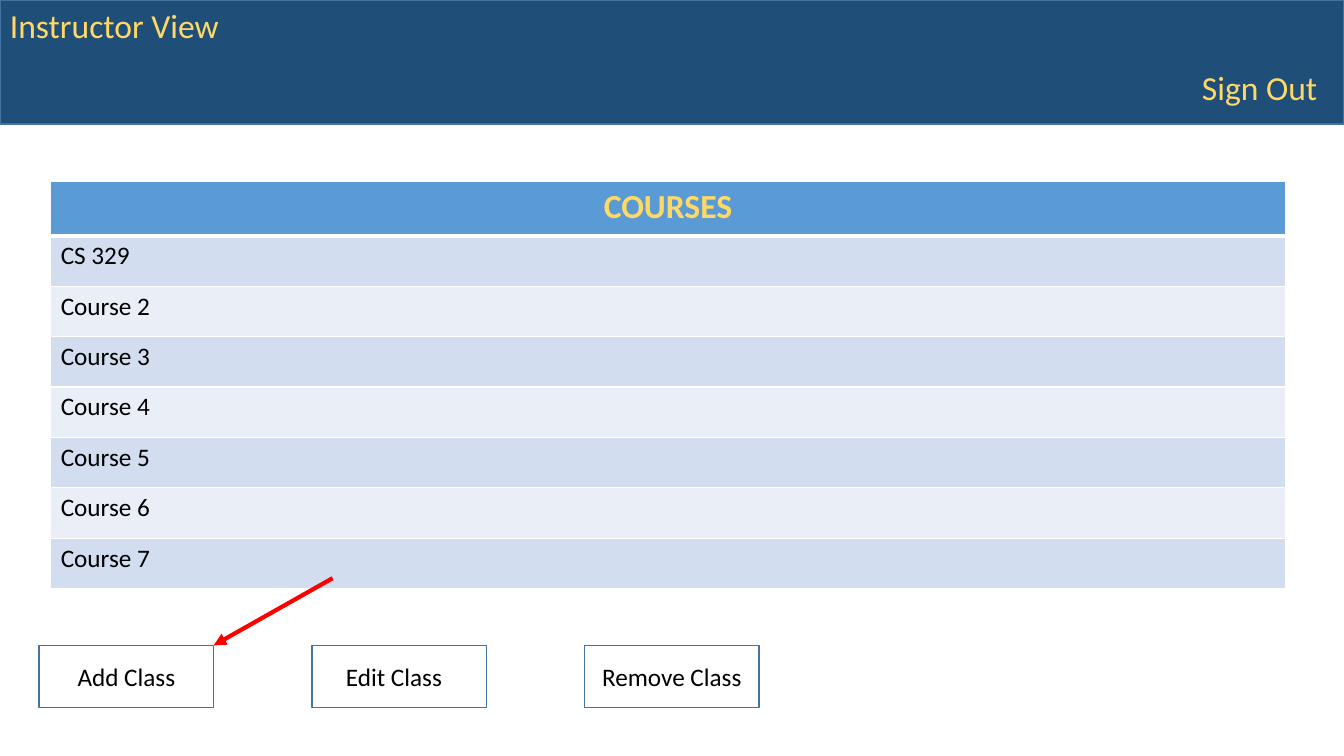
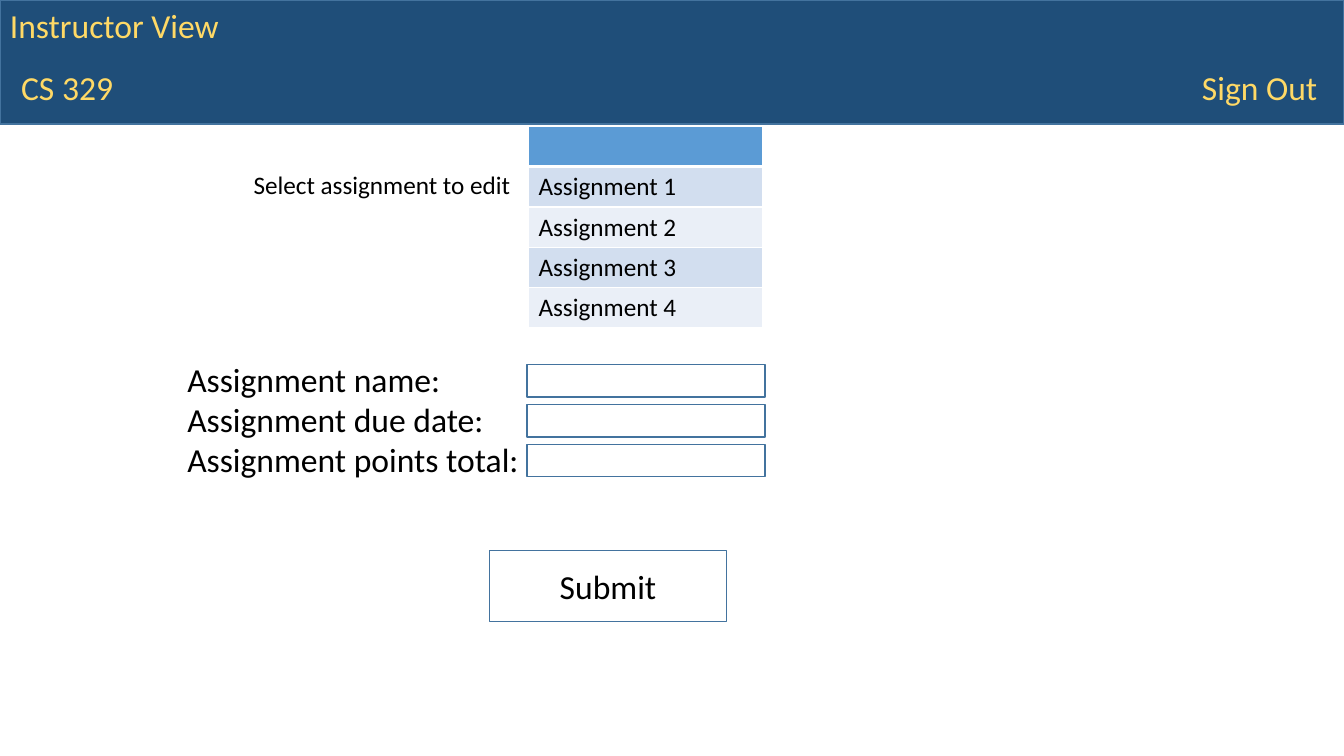
import pptx
import pptx.util
import pptx.dml.color
import pptx.enum.shapes
import pptx.enum.text
import pptx.oxml
import pptx.oxml.ns
from lxml import etree

Pt = pptx.util.Pt
RGB = pptx.dml.color.RGBColor.from_string
ALIGN = pptx.enum.text.PP_ALIGN
ANCHOR = pptx.enum.text.MSO_ANCHOR
SHAPE = pptx.enum.shapes.MSO_SHAPE

# Content
TITLE, SIGN_OUT = "Instructor View", "Sign Out"
COURSES = ["COURSES", "CS 329"] + [f"Course {n}" for n in range(2, 8)]
# Button label and the extra right inset that shifts it left
BUTTONS = [("Add Class", 0), ("Edit Class", 7.2), ("Remove Class", 0)]
COURSE = "CS 329"
PROMPT = "Select assignment to edit"
ASSIGNMENTS = [""] + [f"Assignment {n}" for n in range(1, 5)]
FIELDS = ["Assignment name:", "Assignment due date:", "Assignment points total:"]
SUBMIT = "Submit"


class Theme:
    font = "Calibri"
    large, body = 24, 18
    band, outline, gold = "1F4E79", "43739E", "FFD966"
    text, white, arrow = "000000", "FFFFFF", "FF0000"
    header, stripes = "5B9BD5", ("D2DEEF", "EAEFF7")


# Helpers
def write(tf, text, size=Theme.body, color=Theme.text, bold=False, align=ALIGN.LEFT):
    """Fill a text frame, one paragraph for each line of text."""
    tf.word_wrap = True
    for i, line in enumerate(text.split("\n")):
        p = tf.paragraphs[0] if i == 0 else tf.add_paragraph()
        p.alignment = align
        r = p.add_run()
        r.text = line
        r.font.name, r.font.size, r.font.bold = Theme.font, Pt(size), bold
        r.font.color.rgb = RGB(color)


def add_label(s, text, x, y, w, h, **fmt):
    sp = s.shapes.add_textbox(Pt(x), Pt(y), Pt(w), Pt(h))
    write(sp.text_frame, text, **fmt)


def add_box(s, x, y, w, h, fill=None, text="", shift=0, **fmt):
    sp = s.shapes.add_shape(SHAPE.RECTANGLE, Pt(x), Pt(y), Pt(w), Pt(h))
    sp.shadow.inherit = False
    if fill:
        sp.fill.solid()
        sp.fill.fore_color.rgb = RGB(fill)
    else:
        sp.fill.background()
    sp.line.color.rgb = RGB(Theme.outline)
    sp.line.width = Pt(1)
    if text:
        tf = sp.text_frame
        tf.vertical_anchor = ANCHOR.MIDDLE
        tf.margin_right = Pt(7.2 + shift)
        write(tf, text, align=ALIGN.CENTER, **fmt)


def set_borders(cell, top, bottom):
    tc_pr = cell._tc.get_or_add_tcPr()
    widths = {"L": 1, "R": 1, "T": top, "B": bottom}
    for i, (side, width) in enumerate(widths.items()):
        tc_pr.insert(i, pptx.oxml.parse_xml(
            f'<a:ln{side} {pptx.oxml.ns.nsdecls("a")} w="{Pt(width)}"><a:solidFill>'
            f'<a:srgbClr val="{Theme.white}"/></a:solidFill></a:ln{side}>'))


def add_list(s, rows, x, y, w, header_h, row_h):
    """One-column table: a header row, then striped rows."""
    height = header_h + row_h * (len(rows) - 1)
    table = s.shapes.add_table(len(rows), 1, Pt(x), Pt(y), Pt(w), Pt(height)).table
    table.horz_banding = False
    for i, text in enumerate(rows):
        table.rows[i].height = Pt(row_h if i else header_h)
        cell = table.cell(i, 0)
        cell.fill.solid()
        cell.fill.fore_color.rgb = RGB(Theme.stripes[(i - 1) % 2] if i else Theme.header)
        set_borders(cell, top=3 if i == 1 else 1, bottom=1 if i else 3)
        if i:
            write(cell.text_frame, text)
        elif text:
            write(cell.text_frame, text, size=Theme.large, color=Theme.gold,
                  bold=True, align=ALIGN.CENTER)


def add_arrow(s, x1, y1, x2, y2):
    line = s.shapes.add_connector(pptx.enum.shapes.MSO_CONNECTOR.STRAIGHT,
                                  Pt(x1), Pt(y1), Pt(x2), Pt(y2))
    line.line.color.rgb = RGB(Theme.arrow)
    line.line.width = Pt(3)
    qn = pptx.oxml.ns.qn
    etree.SubElement(line.line._get_or_add_ln(), qn("a:tailEnd"), type="triangle")
    etree.SubElement(line._element.spPr, qn("a:effectLst"))


def new_slide(prs):
    """Blank slide with the shared band."""
    s = prs.slides.add_slide(prs.slide_layouts[6])
    gold = dict(size=Theme.large, color=Theme.gold)
    add_box(s, 0, 0, 960, 88.5, fill=Theme.band)
    add_label(s, TITLE, 0, 0, 166, 36, **gold)
    add_label(s, SIGN_OUT, 851.5, 44, 108, 36, **gold)
    return s


# Slides
def courses_slide(prs):
    s = new_slide(prs)
    add_list(s, COURSES, 36.2, 129.8, 882, 38.6, 36)
    x, y, w, h, pitch = 28, 461, 124.6, 44.6, 194.8
    for i, (text, shift) in enumerate(BUTTONS):
        add_box(s, x + i * pitch, y, w, h, text=text, shift=shift)
    add_arrow(s, 237.6, 413, x + w, y)


def assignment_slide(prs):
    s = new_slide(prs)
    add_label(s, COURSE, 8, 44.6, 119, 36, size=Theme.large, color=Theme.gold)
    add_label(s, PROMPT, 174, 117.4, 203, 29)
    add_list(s, ASSIGNMENTS, 377.5, 90.2, 167, 28.8, 28.8)
    for i in range(len(FIELDS)):
        add_box(s, 376.5, 260.5 + i * 28.4, 170, 23.2)
    add_label(s, "\n".join(FIELDS), 126.7, 252.7, 260, 94.5, size=Theme.large)
    add_box(s, 349.6, 393.2, 169.4, 50.6, text=SUBMIT, size=Theme.large)


def main():
    prs = pptx.Presentation()
    prs.slide_width, prs.slide_height = Pt(960), Pt(540)
    courses_slide(prs)
    assignment_slide(prs)
    prs.save("out.pptx")


if __name__ == "__main__":
    main()
